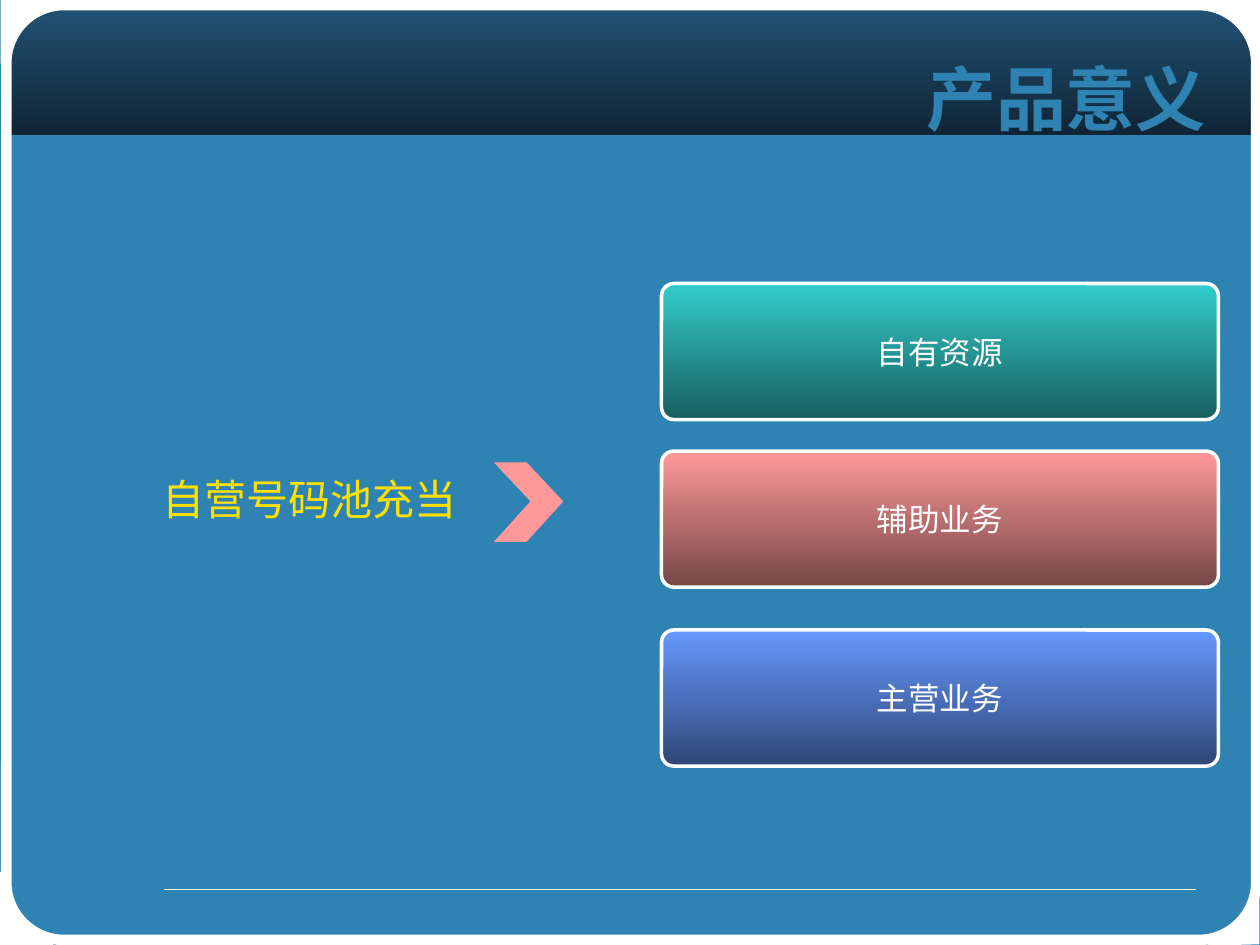
from pptx import Presentation
from pptx.dml.color import RGBColor
from pptx.enum.shapes import MSO_CONNECTOR as CONN, MSO_SHAPE as SHAPE
from pptx.enum.text import MSO_ANCHOR as ANCHOR, PP_ALIGN as ALIGN
from pptx.oxml.ns import qn
from pptx.util import Inches, Pt
from lxml.etree import SubElement

BLUE = RGBColor(0x2E, 0x83, 0xB2)
BAND_TOP = RGBColor(0x22, 0x51, 0x74)
BAND_BOTTOM = RGBColor(0x0F, 0x25, 0x35)
WHITE = RGBColor(0xFF, 0xFF, 0xFF)
IVORY = RGBColor(0xFF, 0xFF, 0xE7)
YELLOW = RGBColor(0xFF, 0xE1, 0x01)
TEAL = RGBColor(0x33, 0xCC, 0xCC)
DARK_TEAL = RGBColor(0x17, 0x5E, 0x5E)
PINK = RGBColor(0xFF, 0x99, 0x99)
DARK_PINK = RGBColor(0x75, 0x46, 0x46)
PERIWINKLE = RGBColor(0x66, 0x99, 0xFF)
NAVY = RGBColor(0x2F, 0x46, 0x75)

CORNERS = [
    [(0.01, 0.06), (0.01, 0.5), (0.15, 0.25), (0.29, 0.06), (0.51, 0), (0.01, 0)],
    [(0.05, 7.5), (0.42, 7.5), (0.21, 7.33), (0.05, 7.17), (0, 6.92), (0, 7.5)],
    [(9.99, 7.43), (9.99, 7), (9.87, 7.25), (9.76, 7.43), (9.59, 7.5), (9.99, 7.49)],
    [(9.94, 0), (9.51, 0), (9.76, 0.14), (9.94, 0.29), (10.01, 0.5), (10.01, 0)],
]
CHEVRON = [(3.92, 3.67), (4.18, 3.67), (4.47, 3.98),
           (4.18, 4.3), (3.92, 4.3), (4.21, 3.98)]
CARDS = [
    (5, "主营业务", PERIWINKLE, NAVY),
    (3.58, "辅助业务", PINK, DARK_PINK),
    (2.25, "自有资源", TEAL, DARK_TEAL),
]


def write(tf, text, size, color, font="Arial", bold=False,
          align=ALIGN.CENTER, wrap=True):
    tf.word_wrap = wrap
    tf.vertical_anchor = ANCHOR.MIDDLE
    p = tf.paragraphs[0]
    p.alignment = align
    r = p.add_run()
    r.text = text
    r.font.name, r.font.size, r.font.bold = font, Pt(size), bold
    r.font.color.rgb = color


class Deck:
    def __init__(self, prs):
        self.s = prs.slides.add_slide(prs.slide_layouts[5])
        fill = self.s.background.fill
        fill.solid()
        fill.fore_color.rgb = BLUE

    def finish(self, sp, fill=None, line=None, width=0.75):
        """Apply no fill, a solid colour or a (top, bottom) gradient, and a line."""
        sp.shadow.inherit = False
        if fill is None:
            sp.fill.background()
        elif isinstance(fill, RGBColor):
            sp.fill.solid()
            sp.fill.fore_color.rgb = fill
        else:
            sp.fill.gradient()
            sp.fill.gradient_angle = 270
            for stop, color in zip(sp.fill.gradient_stops, fill):
                stop.color.rgb = color
        if line is None:
            sp.line.fill.background()
        else:
            sp.line.color.rgb = line
            sp.line.width = Pt(width)
        return sp

    def box(self, kind, x, y, w, h, radius=None, **style):
        sp = self.s.shapes.add_shape(kind, Inches(x), Inches(y), Inches(w), Inches(h))
        if radius is not None:
            sp.adjustments[0] = radius
        return self.finish(sp, **style)

    def polygon(self, points, **style):
        start, *rest = [(Inches(x), Inches(y)) for x, y in points]
        builder = self.s.shapes.build_freeform(*start)
        builder.add_line_segments(rest, close=True)
        return self.finish(builder.convert_to_shape(), **style)

    def rule(self, x1, x2, y, color):
        line = self.s.shapes.add_connector(
            CONN.STRAIGHT, Inches(x1), Inches(y), Inches(x2), Inches(y))
        line.line.color.rgb = color
        line.line.width = Pt(0.75)
        SubElement(line._element.spPr, qn("a:effectLst"))

    def title(self, text, x, y, w, h):
        """Fill the title placeholder and bring it in front of the frame."""
        sp = self.s.shapes.title
        sp.left, sp.top, sp.width, sp.height = map(Inches, (x, y, w, h))
        write(sp.text_frame, text, 40, BLUE, font="DejaVu Sans",
              bold=True, align=ALIGN.RIGHT)
        self.s.shapes._spTree.append(sp._element)


def main():
    prs = Presentation()
    prs.slide_width, prs.slide_height = Inches(10), Inches(7.5)
    deck = Deck(prs)

    deck.box(SHAPE.RECTANGLE, 0.05, 0.06, 9.94, 1.01, fill=(BAND_TOP, BAND_BOTTOM))
    deck.box(SHAPE.ROUNDED_RECTANGLE, 0.05, 0.04, 9.92, 7.42, radius=0.062,
             line=WHITE, width=6)
    for corner in CORNERS:
        deck.polygon(corner, fill=WHITE, line=WHITE)
    deck.rule(1.3, 9.49, 7.06, IVORY)
    deck.title("产品意义", 1.5, 0.38, 8.17, 0.78)

    for top, text, light, dark in CARDS:
        card = deck.box(SHAPE.ROUNDED_RECTANGLE, 5.25, top, 4.42, 1.08, radius=0.091,
                        fill=(light, dark), line=WHITE, width=2)
        write(card.text_frame, text, 18, WHITE, wrap=False)
    lead = deck.box(SHAPE.ROUNDED_RECTANGLE, 1.08, 3.25, 2.75, 1.42, radius=0.091)
    write(lead.text_frame, "自营号码池充当", 24, YELLOW)
    deck.polygon(CHEVRON, fill=PINK)

    prs.save("out.pptx")


if __name__ == "__main__":
    main()
